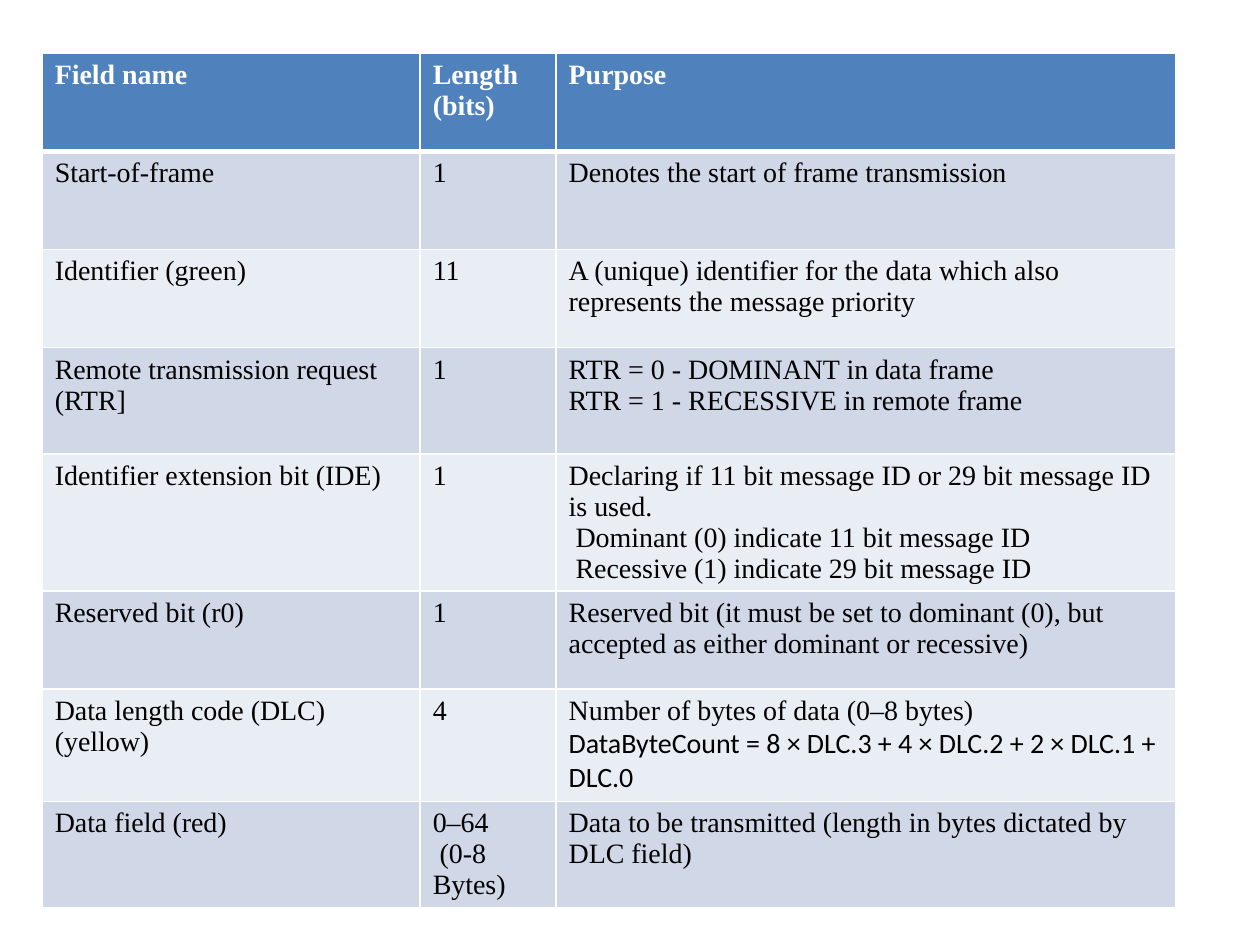
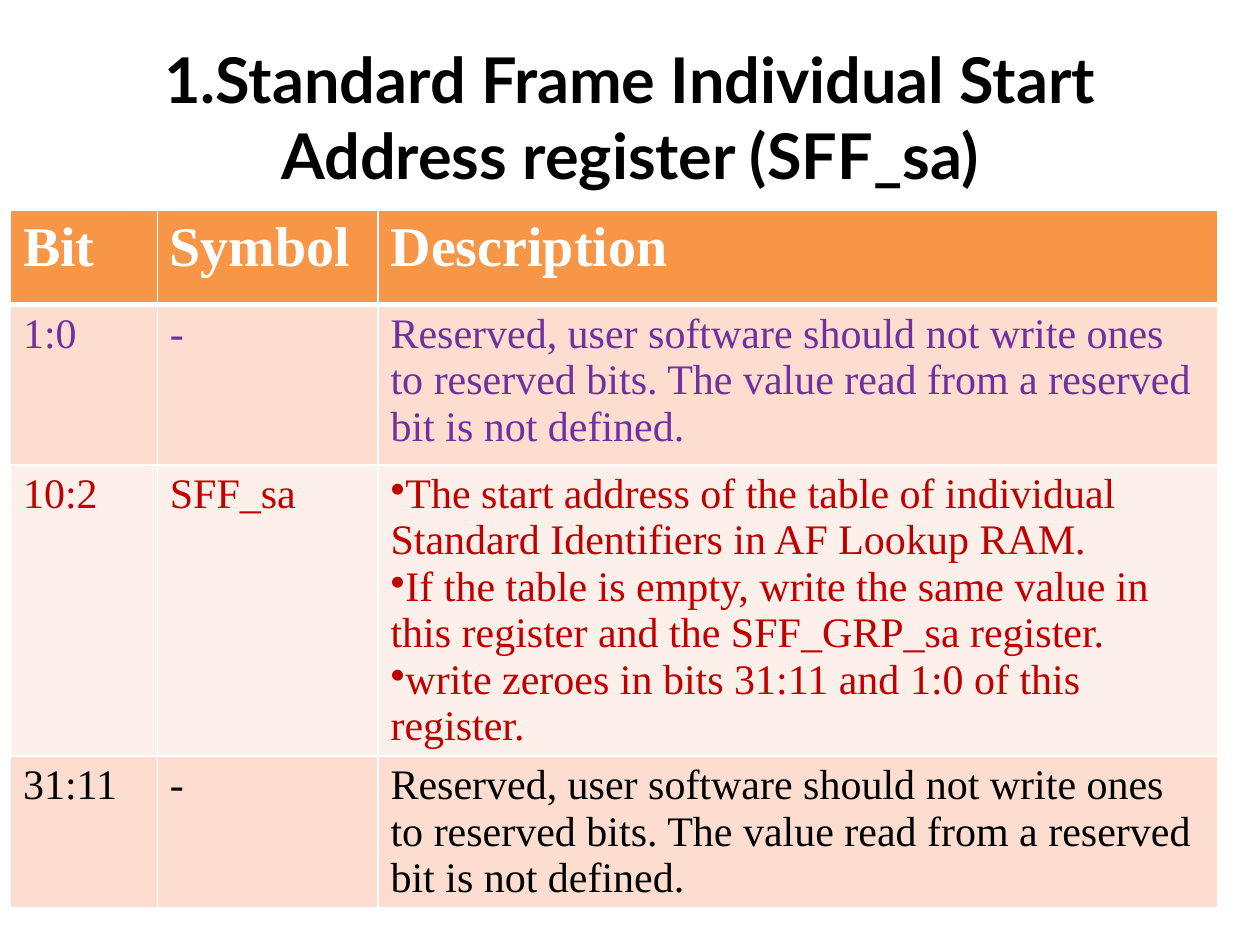
from dataclasses import dataclass
from typing import Union

from lxml.etree import SubElement
from pptx import Presentation
from pptx.dml.color import RGBColor
from pptx.enum.text import MSO_ANCHOR, PP_ALIGN
from pptx.oxml.ns import qn
from pptx.util import Cm, Pt

SERIF = "Times New Roman"
WHITE = "FFFFFF"
BLACK = "000000"
PURPLE = "7030A0"
RED = "C00000"


@dataclass
class Line:
    text: str
    face: str = SERIF
    inset: float = 0
    mark: str = ""


Item = Union[str, Line]


@dataclass
class Row:
    height: float
    cells: list[Union[Item, list[Item]]]
    color: str = BLACK


@dataclass
class Grid:
    left: float
    top: float
    cols: list[float]
    rows: list[Row]
    head: str
    bands: tuple[str, str]
    head_size: int
    size: int


def rgb(code: str) -> RGBColor:
    return RGBColor.from_string(code)


def set_font(para, face: str, size: int, color: str, bold: bool) -> None:
    font = para.font
    font.name, font.size, font.bold = face, Pt(size), bold
    font.color.rgb = rgb(color)


def add_edge(cell, side: str, width: float) -> None:
    line = SubElement(cell._tc.get_or_add_tcPr(), qn(f"a:ln{side}"), w=str(Pt(width)))
    fill = SubElement(line, qn("a:solidFill"))
    SubElement(fill, qn("a:srgbClr"), val=WHITE)


def add_line(para, line: Line, size: int, color: str, bold: bool) -> None:
    para.text = line.text
    props = para._p.get_or_add_pPr()
    if line.inset:
        props.set("marL", "0")
        props.set("indent", str(Cm(line.inset)))
    if line.mark:
        SubElement(props, qn("a:buChar"), char=line.mark)
    set_font(para, line.face, size, color, bold)


def fill_cell(cell, items, size: int, color: str, bold: bool) -> None:
    frame = cell.text_frame
    for i, item in enumerate(items if isinstance(items, list) else [items]):
        para = frame.add_paragraph() if i else frame.paragraphs[0]
        line = Line(item) if isinstance(item, str) else item
        add_line(para, line, size, color, bold)


def add_grid(slide, grid: Grid) -> None:
    width = Cm(sum(grid.cols))
    height = Cm(sum(row.height for row in grid.rows))
    table = slide.shapes.add_table(
        len(grid.rows), len(grid.cols), Cm(grid.left), Cm(grid.top), width, height
    ).table
    for col, size in zip(table.columns, grid.cols):
        col.width = Cm(size)
    for r, row in enumerate(grid.rows):
        table.rows[r].height = Cm(row.height)
        head = r == 0
        edges = {"L": 1, "R": 1, "T": 3 if r == 1 else 1, "B": 3 if head else 1}
        for c, items in enumerate(row.cells):
            cell = table.cell(r, c)
            for side, weight in edges.items():
                add_edge(cell, side, weight)
            cell.fill.solid()
            cell.fill.fore_color.rgb = rgb(grid.head if head else grid.bands[(r - 1) % 2])
            fill_cell(cell, items, grid.head_size if head else grid.size, row.color, head)


def set_title(slide, text: str) -> None:
    title = slide.shapes.title
    title.left, title.top, title.width, title.height = Cm(1.27), Cm(0.76), Cm(22.86), Cm(3.18)
    frame = title.text_frame
    frame.text = text
    frame.word_wrap = True
    frame.vertical_anchor = MSO_ANCHOR.MIDDLE
    para = frame.paragraphs[0]
    para.alignment = PP_ALIGN.CENTER
    set_font(para, "Lato", 36, BLACK, True)


TALL = 1.98
SPACE = 0.14
RESERVED = (
    "Reserved, user software should not write ones to reserved bits. "
    "The value read from a reserved bit is not defined."
)

FIELDS = Grid(
    left=0.85, top=1.07, cols=[7.62, 2.74, 12.5],
    head="4F81BD", bands=("D0D8E8", "E9EDF4"), head_size=16, size=16,
    rows=[
        Row(TALL, ["Field name", "Length (bits)", "Purpose"], WHITE),
        Row(TALL, ["Start-of-frame", "1", "Denotes the start of frame transmission"]),
        Row(TALL, [
            "Identifier (green)", "11",
            "A (unique) identifier for the data which also represents the message priority",
        ]),
        Row(2.14, [
            "Remote transmission request (RTR]", "1",
            ["RTR = 0 - DOMINANT in data frame", "RTR = 1 - RECESSIVE in remote frame"],
        ]),
        Row(2.76, [
            "Identifier extension bit (IDE)", "1",
            [
                "Declaring if 11 bit message ID or 29 bit message ID is used.",
                Line("Dominant (0) indicate 11 bit message ID", inset=SPACE),
                Line("Recessive (1) indicate 29 bit message ID", inset=SPACE),
            ],
        ]),
        Row(TALL, [
            "Reserved bit (r0)", "1",
            "Reserved bit (it must be set to dominant (0), "
            "but accepted as either dominant or recessive)",
        ]),
        Row(2.26, [
            "Data length code (DLC) (yellow)", "4",
            [
                "Number of bytes of data (0–8 bytes)",
                Line("DataByteCount = 8 × DLC.3 + 4 × DLC.2 + 2 × DLC.1 + DLC.0", "Calibri"),
            ],
        ]),
        Row(2.14, [
            "Data field (red)",
            ["0–64", Line("(0-8 Bytes)", inset=SPACE)],
            "Data to be transmitted (length in bytes dictated by DLC field)",
        ]),
    ],
)

BITS = Grid(
    left=0.21, top=4.24, cols=[2.96, 4.45, 16.93],
    head="F79646", bands=("FCDDCF", "FDEFE9"), head_size=32, size=24,
    rows=[
        Row(1.9, ["Bit", "Symbol", "Description"], WHITE),
        Row(3.23, ["1:0", "-", RESERVED], PURPLE),
        Row(5.87, [
            "10:2", "SFF_sa",
            [
                Line(text, mark="•")
                for text in (
                    "The start address of the table of individual "
                    "Standard Identifiers in AF Lookup RAM.",
                    "If the table is empty, write the same value in "
                    "this register and the SFF_GRP_sa register.",
                    "write zeroes in bits 31:11 and 1:0 of this register.",
                )
            ],
        ], RED),
        Row(3.05, ["31:11", "-", RESERVED]),
    ],
)


def main() -> None:
    deck = Presentation()
    deck.slide_width, deck.slide_height = Cm(25.4), Cm(19.05)
    only_title, blank = deck.slide_layouts[5], deck.slide_layouts[6]

    add_grid(deck.slides.add_slide(blank), FIELDS)

    slide = deck.slides.add_slide(only_title)
    set_title(slide, "1.Standard Frame Individual Start Address register (SFF_sa)")
    add_grid(slide, BITS)

    deck.save("out.pptx")


if __name__ == "__main__":
    main()
